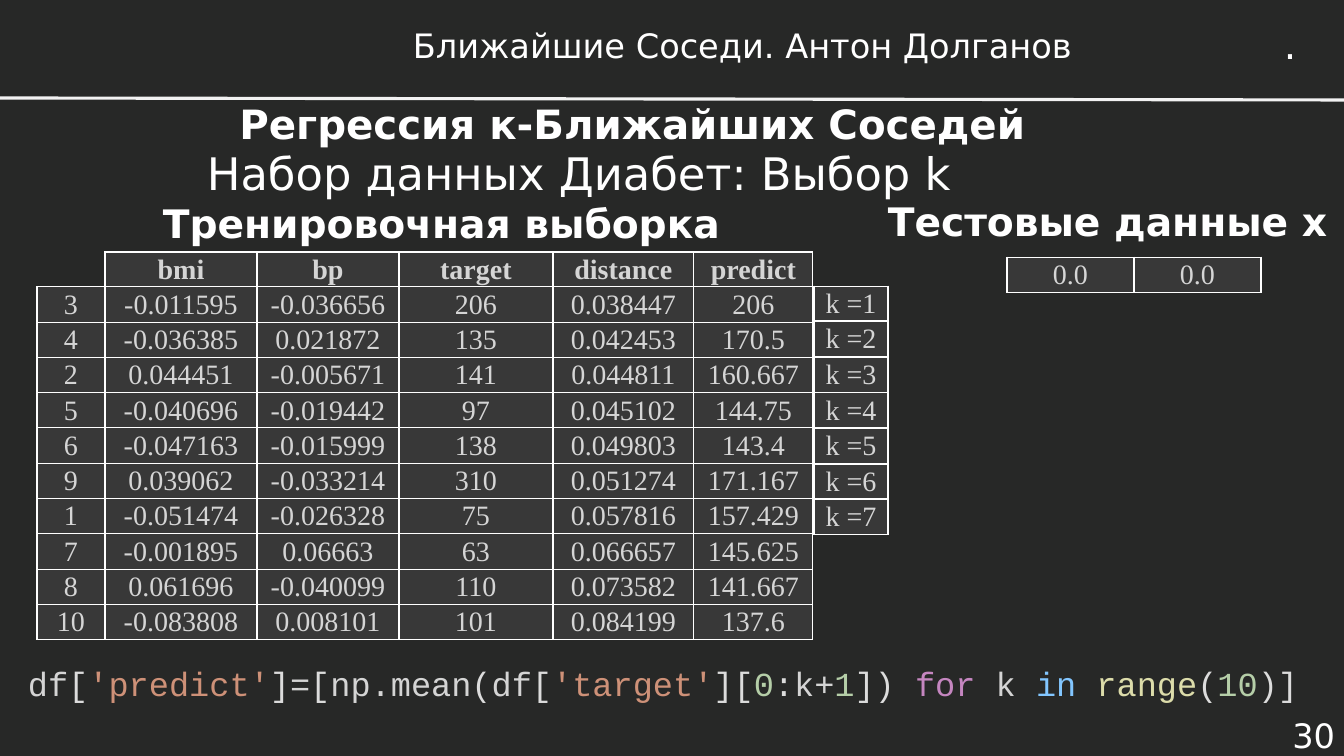
from pptx import Presentation
from pptx.dml.color import RGBColor as RGB
from pptx.enum.shapes import MSO_CONNECTOR as LINK
from pptx.enum.text import MSO_ANCHOR as ANCHOR, PP_ALIGN as ALIGN
from pptx.oxml import parse_xml
from pptx.oxml.ns import nsdecls
from pptx.util import Pt

# Content
HEAD = ["", "bmi", "bp", "target", "distance", "predict"]
ROWS = [
    ["3", "-0.011595", "-0.036656", "206", "0.038447", "206"],
    ["4", "-0.036385", "0.021872", "135", "0.042453", "170.5"],
    ["2", "0.044451", "-0.005671", "141", "0.044811", "160.667"],
    ["5", "-0.040696", "-0.019442", "97", "0.045102", "144.75"],
    ["6", "-0.047163", "-0.015999", "138", "0.049803", "143.4"],
    ["9", "0.039062", "-0.033214", "310", "0.051274", "171.167"],
    ["1", "-0.051474", "-0.026328", "75", "0.057816", "157.429"],
    ["7", "-0.001895", "0.06663", "63", "0.066657", "145.625"],
    ["8", "0.061696", "-0.040099", "110", "0.073582", "141.667"],
    ["10", "-0.083808", "0.008101", "101", "0.084199", "137.6"],
]
LABELS = [f"k ={k}" for k in range(1, 8)]
TEST = ["0.0", "0.0"]
CODE = [
    ("df", "code"), ("[", "mark"), ("'predict'", "str"), ("]", "mark"),
    ("=", "code"), ("[", "mark"), ("np.mean", "code"), ("(", "mark"),
    ("df", "code"), ("[", "mark"), ("'target'", "str"), ("][", "mark"),
    ("0", "num"), (":", "mark"), ("k+", "code"), ("1", "num"),
    ("]) ", "mark"), ("for", "key"), (" k ", "code"), ("in ", "in"),
    ("range", "func"), ("(", "mark"), ("10", "num"), (")]", "mark"),
]
# Text, box in px, size name, bold, alignment, middle anchor, wrap
TEXTS = [
    ("Регрессия к-Ближайших Соседей", (196, 77, 873, 92), "title", True, ALIGN.CENTER, True, True),
    ("30", (1239, 714, 106, 42), "note", False, ALIGN.RIGHT, True, True),
    ("Ближайшие Соседи. Антон Долганов", (347, 19, 791, 53), "note", False, ALIGN.CENTER, True, True),
    (".", (1274, 15, 34, 57), "head", False, ALIGN.LEFT, False, False),
    ("Набор данных Диабет: Выбор k", (197, 141, 769, 65), "topic", False, ALIGN.LEFT, False, False),
    ("Тренировочная выборка", (153, 194, 590, 57), "head", True, ALIGN.LEFT, False, False),
    ("Тестовые данные x", (878, 192, 464, 57), "head", True, ALIGN.LEFT, False, False),
]
THEME = {
    "font": {"text": "DejaVu Sans", "cell": "Times New Roman", "code": "Courier New"},
    "size": {"title": 28.8, "note": 24, "head": 28, "topic": 32, "cell": 20, "code": 24},
    "color": {
        "back": "272827", "text": "FFFFFF", "rule": "F2F2F2", "fill": "383838",
        "cell": "D5D5D5", "edge": "FFFFFF", "code": "D4D4D4", "mark": "DCDCDC",
        "str": "CE9178", "num": "B5CEA8", "key": "C586C0", "in": "82C6FF",
        "func": "DCDCAA",
    },
}
WIDE, HIGH = 1344, 756
SCALE = 12192000 / WIDE


def px(n):
    return round(n * SCALE)


def color(name):
    return RGB.from_string(THEME["color"][name])


def style(font, face, size, tone=None, bold=False):
    font.name = THEME["font"][face]
    font.size = Pt(THEME["size"][size])
    font.bold = bold
    if tone:
        font.color.rgb = color(tone)


def add_text(slide, box, middle=False, wrap=True):
    frame = slide.shapes.add_textbox(*map(px, box)).text_frame
    frame.word_wrap = wrap
    frame.vertical_anchor = ANCHOR.MIDDLE if middle else ANCHOR.TOP
    return frame


def add_edges(cell, widths):
    """Set left, right, top and bottom borders in points; 0 hides one."""
    props = cell._tc.get_or_add_tcPr()
    for i, (side, width) in enumerate(zip("LRTB", widths)):
        paint = "<a:noFill/>"
        if width:
            paint = (f'<a:solidFill><a:srgbClr val="{THEME["color"]["edge"]}"/>'
                     "</a:solidFill>")
        props.insert(i, parse_xml(
            f'<a:ln{side} {nsdecls("a")} w="{Pt(width)}">{paint}</a:ln{side}>'))


def add_grid(slide, left, top, cols, highs, rows, head=False):
    frame = slide.shapes.add_table(
        len(rows), len(cols), px(left), px(top), px(sum(cols)), px(sum(highs)))
    table = frame.table
    table.first_row = table.horz_banding = False
    for col, wide in zip(table.columns, cols):
        col.width = px(wide)
    for row, high in zip(table.rows, highs):
        row.height = px(high)
    for r, row in enumerate(rows):
        for c, word in enumerate(row):
            cell = table.cell(r, c)
            cell.margin_left = cell.margin_right = cell.margin_top = px(1)
            cell.margin_bottom = 0
            cell.vertical_anchor = ANCHOR.MIDDLE
            cell.text = word
            para = cell.text_frame.paragraphs[0]
            para.alignment = ALIGN.CENTER
            top_row = head and r == 0
            style(para.font, "cell", "cell", "cell", top_row)
            if word:
                cell.fill.solid()
                cell.fill.fore_color.rgb = color("fill")
                add_edges(cell, (1, 1, 1 if top_row else 0.5, 0.5))
            else:
                cell.fill.background()
                add_edges(cell, (0, 1, 0, 0.5))


def main():
    deck = Presentation()
    deck.slide_width, deck.slide_height = px(WIDE), px(HIGH)
    slide = deck.slides.add_slide(deck.slide_layouts[6])
    slide.background.fill.solid()
    slide.background.fill.fore_color.rgb = color("back")

    # Header rule
    rule = slide.shapes.add_connector(LINK.STRAIGHT, 0, px(98), px(WIDE), px(100))
    rule.line.color.rgb = color("rule")
    rule.line.width = Pt(2.25)
    rule._element.spPr.append(parse_xml(f'<a:effectLst {nsdecls("a")}/>'))

    # Titles and labels
    for words, box, size, bold, align, middle, wrap in TEXTS:
        para = add_text(slide, box, middle, wrap).paragraphs[0]
        para.text = words
        para.alignment = align
        style(para.font, "text", size, "text", bold)

    # Values of k, one box beside each row
    for i, label in enumerate(LABELS):
        add_grid(slide, 814, 286 + 35.6 * i, [74], [34], [[label]])

    # Test data
    add_grid(slide, 1007, 257, [127, 127], [35], [TEST])

    # Code line
    para = add_text(slide, (18, 658, 1308, 50)).paragraphs[0]
    style(para.font, "code", "code")
    for word, tone in CODE:
        run = para.add_run()
        run.text = word
        run.font.color.rgb = color(tone)

    # Training data
    highs = [34] + [35.3] * len(ROWS)
    add_grid(slide, 37, 252, [68, 152, 142, 154, 141, 119], highs,
             [HEAD] + ROWS, head=True)
    deck.save("out.pptx")


if __name__ == "__main__":
    main()
